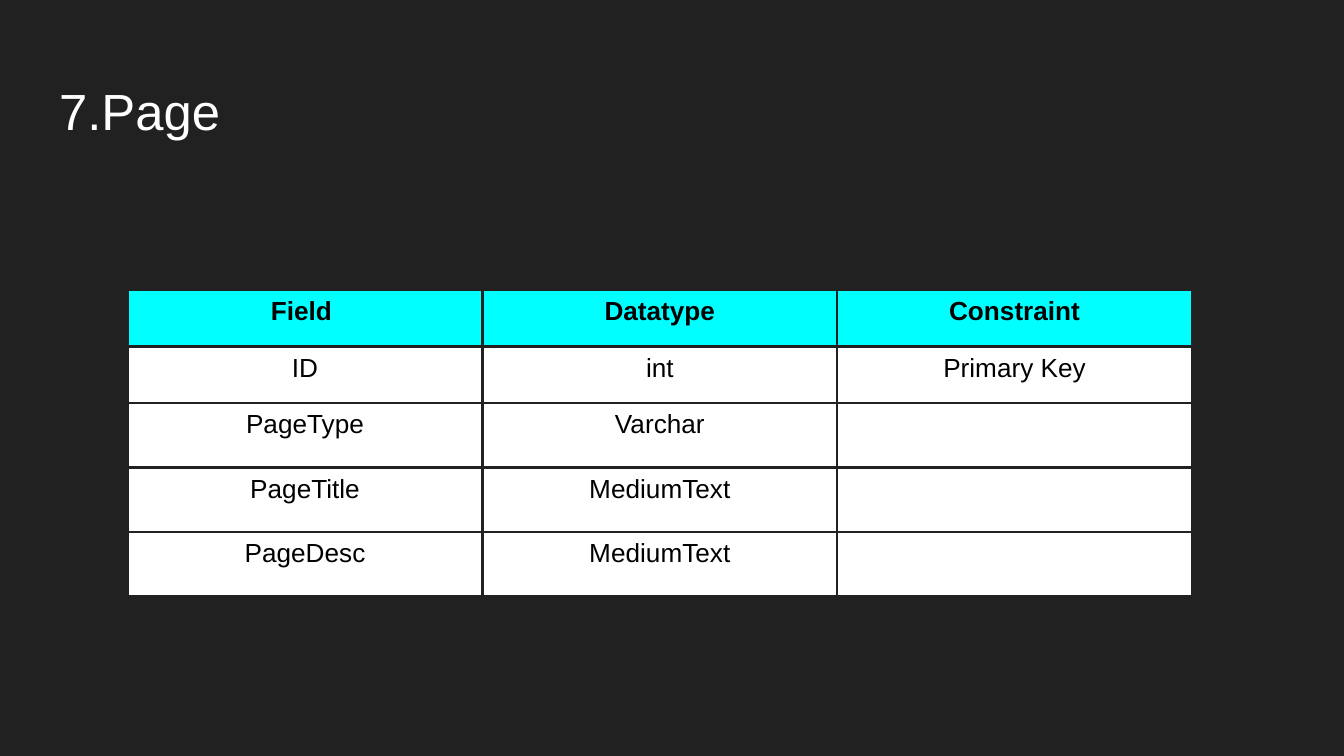
from lxml.etree import SubElement
from pptx import Presentation
from pptx.dml.color import RGBColor
from pptx.enum.text import MSO_ANCHOR, MSO_AUTO_SIZE, PP_ALIGN
from pptx.oxml.ns import qn
from pptx.util import Inches, Pt

DARK = RGBColor(0x21, 0x21, 0x21)
WHITE = RGBColor(0xFF, 0xFF, 0xFF)
BLACK = RGBColor(0x00, 0x00, 0x00)
CYAN = RGBColor(0x00, 0xFF, 0xFF)
FONT = "Arial"
BORDER_WIDTH = Pt(1.47)

FIELDS = [
    ("Field ", "Datatype", "Constraint"),
    ("ID", "int", "Primary Key"),
    ("PageType", "Varchar", ""),
    ("PageTitle", "MediumText", ""),
    ("PageDesc", "MediumText", ""),
]
ROW_HEIGHTS = [0.42, 0.42, 0.48, 0.48, 0.48]


def style_font(font, size, color, bold=False):
    font.name = FONT
    font.size = Pt(size)
    font.bold = bold
    font.color.rgb = color


def add_title(slide, text, left, top, width, height):
    title = slide.shapes.title
    title.left, title.top = Inches(left), Inches(top)
    title.width, title.height = Inches(width), Inches(height)
    frame = title.text_frame
    frame.text = text
    frame.word_wrap = True
    frame.auto_size = MSO_AUTO_SIZE.NONE
    frame.vertical_anchor = MSO_ANCHOR.TOP
    frame.margin_left = frame.margin_right = Inches(0.1)
    frame.margin_top = frame.margin_bottom = Inches(0.1)
    paragraph = frame.paragraphs[0]
    paragraph.alignment = PP_ALIGN.LEFT
    style_font(paragraph.runs[0].font, 27.2, WHITE)


def set_borders(cell):
    # Borders must precede the fill in the cell properties
    properties = cell._tc.get_or_add_tcPr()
    for side in ("a:lnL", "a:lnR", "a:lnT", "a:lnB"):
        line = SubElement(properties, qn(side), w=str(BORDER_WIDTH))
        fill = SubElement(line, qn("a:solidFill"))
        SubElement(fill, qn("a:srgbClr"), val=str(DARK))


def style_cell(cell, text, is_header):
    cell.text = text
    cell.margin_left = cell.margin_right = Inches(0.1)
    cell.margin_top = cell.margin_bottom = Inches(0.05)
    set_borders(cell)
    cell.fill.solid()
    cell.fill.fore_color.rgb = CYAN if is_header else WHITE
    paragraph = cell.text_frame.paragraphs[0]
    paragraph.alignment = PP_ALIGN.CENTER
    for run in paragraph.runs:
        style_font(run.font, 14, BLACK, is_header)


def add_field_table(slide, left, top, width):
    column_count = len(FIELDS[0])
    table = slide.shapes.add_table(
        len(FIELDS), column_count, Inches(left), Inches(top),
        Inches(width), Inches(sum(ROW_HEIGHTS))).table
    table.horz_banding = False
    for column in table.columns:
        column.width = Inches(width / column_count)
    for row_index, (values, height) in enumerate(zip(FIELDS, ROW_HEIGHTS)):
        table.rows[row_index].height = Inches(height)
        for column_index, text in enumerate(values):
            style_cell(table.cell(row_index, column_index), text, row_index == 0)


def main():
    presentation = Presentation()
    # Widescreen format, 16:9
    presentation.slide_width = Inches(10)
    presentation.slide_height = Inches(10) * 9 // 16
    slide = presentation.slides.add_slide(presentation.slide_layouts[5])
    slide.background.fill.solid()
    slide.background.fill.fore_color.rgb = DARK
    add_title(slide, "7.Page", 0.34, 0.49, 9.32, 0.63)
    add_field_table(slide, 0.95, 2.16, 7.92)
    presentation.save("out.pptx")


if __name__ == "__main__":
    main()
